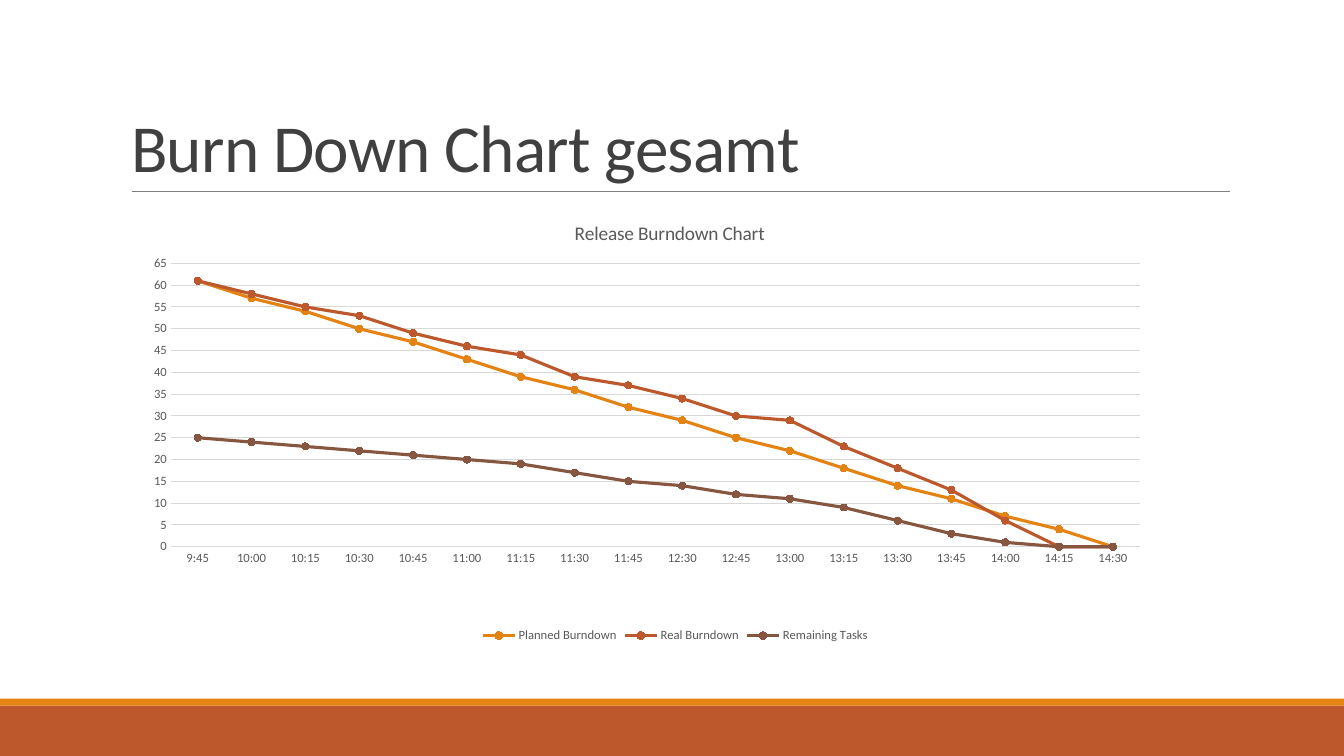
from lxml.etree import SubElement
from pptx import Presentation
from pptx.chart.data import CategoryChartData
from pptx.dml.color import RGBColor
from pptx.enum.chart import XL_CHART_TYPE, XL_LEGEND_POSITION, XL_MARKER_STYLE, XL_TICK_MARK
from pptx.enum.shapes import MSO_CONNECTOR, MSO_SHAPE
from pptx.enum.text import MSO_ANCHOR, PP_ALIGN
from pptx.oxml.ns import qn
from pptx.util import Pt

FONT = "Calibri"
ORANGE = RGBColor(0xE4, 0x83, 0x12)
RUST = RGBColor(0xBD, 0x58, 0x2C)
BROWN = RGBColor(0x86, 0x56, 0x40)
TITLE_GRAY = RGBColor(0x40, 0x40, 0x40)
LABEL_GRAY = RGBColor(0x59, 0x59, 0x59)
RULE_GRAY = RGBColor(0x80, 0x80, 0x80)
GRID_GRAY = RGBColor(0xD9, 0xD9, 0xD9)

HEADING = "Burn Down Chart gesamt"
CHART_HEADING = "Release Burndown Chart"
TIMES = ["9:45", "10:00", "10:15", "10:30", "10:45", "11:00", "11:15", "11:30", "11:45",
         "12:30", "12:45", "13:00", "13:15", "13:30", "13:45", "14:00", "14:15", "14:30"]
START_EFFORT = 61
LAST = len(TIMES) - 1
PLANNED = [round(START_EFFORT * (LAST - step) / LAST) for step in range(LAST + 1)]
BURNDOWNS = [
    ("Planned Burndown", ORANGE, PLANNED),
    ("Real Burndown", RUST,
     [61, 58, 55, 53, 49, 46, 44, 39, 37, 34, 30, 29, 23, 18, 13, 6, 0, 0]),
    ("Remaining Tasks", BROWN,
     [25, 24, 23, 22, 21, 20, 19, 17, 15, 14, 12, 11, 9, 6, 3, 1, 0, 0]),
]

SLIDE_W, SLIDE_H = 960, 540
FOOTER_H, STRIPE_H = 36, 5
LEFT, CONTENT_W = 86.4, 792
FOOTER_TOP = SLIDE_H - FOOTER_H
BANDS = [(FOOTER_TOP, FOOTER_H, RUST), (FOOTER_TOP - STRIPE_H, STRIPE_H, ORANGE)]


def style_font(font, size, color):
    font.name, font.size, font.bold = FONT, Pt(size), False
    font.color.rgb = color


def set_layout(parent, index, **fractions):
    """Give a chart part a manual position, as fractions of the chart area."""
    for old in parent.findall(qn("c:layout")):
        parent.remove(old)
    layout = parent.makeelement(qn("c:layout"))
    parent.insert(index, layout)
    manual = SubElement(layout, qn("c:manualLayout"))
    if "w" in fractions:
        SubElement(manual, qn("c:layoutTarget")).set("val", "inner")
    for mode in ("xMode", "yMode"):
        SubElement(manual, qn(f"c:{mode}")).set("val", "edge")
    for key, value in fractions.items():
        SubElement(manual, qn(f"c:{key}")).set("val", str(value))


def add_bands(slide):
    for top, height, color in BANDS:
        band = slide.shapes.add_shape(MSO_SHAPE.RECTANGLE, 0, Pt(top), Pt(SLIDE_W), Pt(height))
        band.shadow.inherit = False
        band.fill.solid()
        band.fill.fore_color.rgb = color
        band.line.fill.background()


def add_heading(slide):
    title = slide.shapes.title
    title.left, title.top, title.width, title.height = Pt(LEFT), Pt(22.6), Pt(CONTENT_W), Pt(114.2)
    title.text_frame.vertical_anchor = MSO_ANCHOR.BOTTOM
    paragraph = title.text_frame.paragraphs[0]
    paragraph.alignment = PP_ALIGN.LEFT
    paragraph.line_spacing = 0.85
    run = paragraph.add_run()
    run.text = HEADING
    style_font(run.font, 48, TITLE_GRAY)
    run.font._element.set("spc", "-50")

    rule = slide.shapes.add_connector(MSO_CONNECTOR.STRAIGHT, Pt(94.3), Pt(136.6), Pt(878.5), Pt(136.6))
    rule.line.color.rgb = RULE_GRAY
    rule.line.width = Pt(0.5)
    SubElement(rule._element.spPr, qn("a:effectLst"))


def add_burndown(slide):
    data = CategoryChartData()
    data.categories = TIMES
    for name, _, values in BURNDOWNS:
        data.add_series(name, values)
    chart = slide.shapes.add_chart(XL_CHART_TYPE.LINE_MARKERS, Pt(LEFT), Pt(145.4),
                                   Pt(CONTENT_W), Pt(316.8), data).chart
    style_font(chart.font, 10, LABEL_GRAY)

    chart_title = chart.chart_title
    run = chart_title.text_frame.paragraphs[0].add_run()
    run.text = CHART_HEADING
    style_font(run.font, 13.8, LABEL_GRAY)
    set_layout(chart_title._element, 1, x=0.406, y=0.03)

    chart.has_legend = True
    chart.legend.position = XL_LEGEND_POSITION.BOTTOM
    chart.legend.include_in_layout = False
    style_font(chart.legend.font, 9, LABEL_GRAY)

    time_axis, effort_axis = chart.category_axis, chart.value_axis
    for axis in (time_axis, effort_axis):
        axis.major_tick_mark = axis.minor_tick_mark = XL_TICK_MARK.NONE
        style_font(axis.tick_labels.font, 9, LABEL_GRAY)
    effort_axis.minimum_scale, effort_axis.maximum_scale, effort_axis.major_unit = 0, 65, 5
    effort_axis.tick_labels.number_format = "0"
    effort_axis.tick_labels.number_format_is_linked = False
    effort_axis.format.line.fill.background()
    for line in (time_axis.format.line, effort_axis.major_gridlines.format.line):
        line.color.rgb = GRID_GRAY
        line.width = Pt(0.75)

    plot = chart.plots[0]
    plot.vary_by_categories = False
    for series, (_, color, _) in zip(plot.series, BURNDOWNS):
        series.smooth = False
        series.format.line.color.rgb = color
        series.format.line.width = Pt(2.25)
        marker = series.marker
        marker.style, marker.size = XL_MARKER_STYLE.CIRCLE, 5
        marker.format.fill.solid()
        marker.format.fill.fore_color.rgb = color
        marker.format.line.color.rgb = color
    set_layout(plot._element.getparent(), 0, x=0.045, y=0.135, w=0.874, h=0.639)


def main():
    deck = Presentation()
    deck.slide_width, deck.slide_height = Pt(SLIDE_W), Pt(SLIDE_H)
    slide = deck.slides.add_slide(deck.slide_layouts[5])
    add_bands(slide)
    add_heading(slide)
    add_burndown(slide)
    deck.save("out.pptx")


if __name__ == "__main__":
    main()
